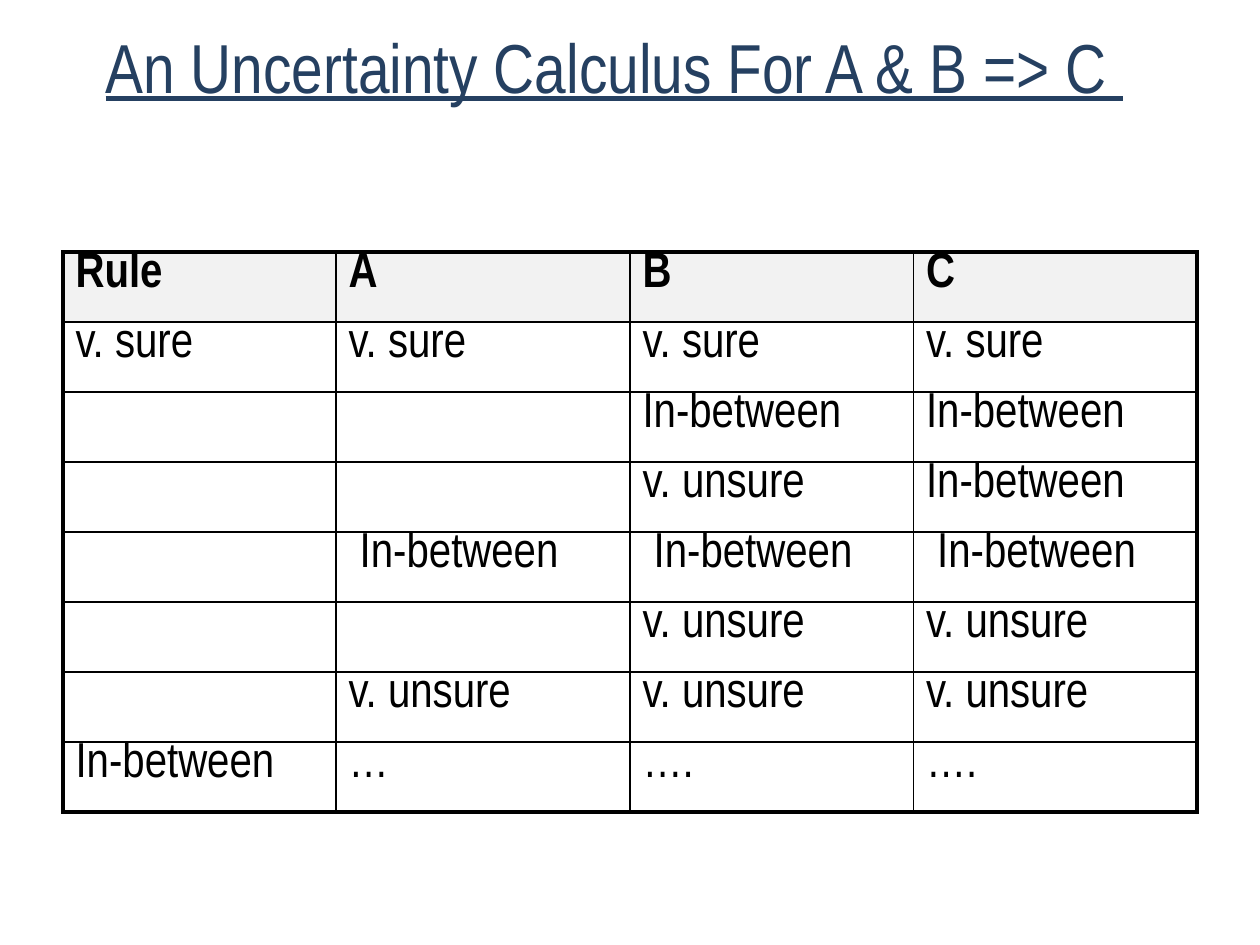
from lxml import etree
from pptx import Presentation
from pptx.dml.color import RGBColor
from pptx.enum.text import MSO_ANCHOR, PP_ALIGN
from pptx.oxml.ns import qn
from pptx.util import Pt

MIDDLE, CENTER = MSO_ANCHOR.MIDDLE, PP_ALIGN.CENTER
FONT = "Arial Narrow"
NAVY, BLACK, WHITE, GREY = "254061", "000000", "FFFFFF", "F2F2F2"
OUTER, INNER = 2.25, 1
COLUMNS = [156, 168, 162, 162]
ROWS = [
    ["Rule", "A", "B", "C"],
    ["v. sure", "v. sure", "v. sure", "v. sure"],
    ["", "", "In-between", "In-between"],
    ["", "", "v. unsure", "In-between"],
    ["", " In-between", " In-between", " In-between"],
    ["", "", "v. unsure", "v. unsure"],
    ["", "v. unsure", "v. unsure", "v. unsure"],
    ["In-between", "…", "….", "…."],
]


def rgb(value):
    """Turn a hex string into a colour."""
    return RGBColor.from_string(value)


def set_all(obj, values):
    """Set attributes of an object from a dict."""
    for name, value in values.items():
        setattr(obj, name, value)


def add_text(p, text, size, color, **style):
    """Add a formatted run to a paragraph."""
    r = p.add_run()
    r.text = text
    set_all(r.font, {"name": FONT, "size": Pt(size), **style})
    r.font.color.rgb = rgb(color)


def set_borders(cell, widths):
    """Draw black cell borders of the given widths, placed ahead of the fill."""
    tc_pr = cell._tc.get_or_add_tcPr()
    for i, (side, width) in enumerate(widths.items()):
        ln = etree.Element(qn(f"a:ln{side}"), w=str(int(Pt(width))))
        fill = etree.SubElement(ln, qn("a:solidFill"))
        etree.SubElement(fill, qn("a:srgbClr"), val=BLACK)
        tc_pr.insert(i, ln)


def add_title(s, x, y, w, h):
    """Add the underlined title."""
    tf = s.shapes.add_textbox(Pt(x), Pt(y), Pt(w), Pt(h)).text_frame
    set_all(tf, {"word_wrap": True, "vertical_anchor": MIDDLE})
    p = tf.paragraphs[0]
    p.alignment = CENTER
    add_text(p, "An Uncertainty Calculus For A & B => C ", 39.6, NAVY, underline=True)


def add_rule_table(s, x, y, w, h):
    """Add the table that combines the certainties of rule, A and B into C."""
    n_rows, n_cols = len(ROWS), len(COLUMNS)
    table = s.shapes.add_table(n_rows, n_cols, Pt(x), Pt(y), Pt(w), Pt(h)).table
    set_all(table, {"first_row": False, "horz_banding": False})
    for column, width in zip(table.columns, COLUMNS):
        column.width = Pt(w * width / sum(COLUMNS))
    for i, row in enumerate(ROWS):
        for j, text in enumerate(row):
            cell = table.cell(i, j)
            set_all(cell, {"margin_top": 0, "margin_bottom": 0})
            cell.fill.solid()
            cell.fill.fore_color.rgb = rgb(WHITE if i else GREY)
            edges = {"L": j == 0, "R": j == n_cols - 1, "T": i == 0, "B": i == n_rows - 1}
            set_borders(cell, {k: OUTER if edge else INNER for k, edge in edges.items()})
            if text:
                p = cell.text_frame.paragraphs[0]
                add_text(p, text, 28, BLACK, bold=i == 0)


def main():
    """Build and save the slide."""
    prs = Presentation()
    set_all(prs, {"slide_width": Pt(720), "slide_height": Pt(540)})
    s = prs.slides.add_slide(prs.slide_layouts[6])
    add_title(s, 0, 15, 702, 45)
    add_rule_table(s, 36, 144, 648, 320)
    prs.save("out.pptx")


if __name__ == "__main__":
    main()
